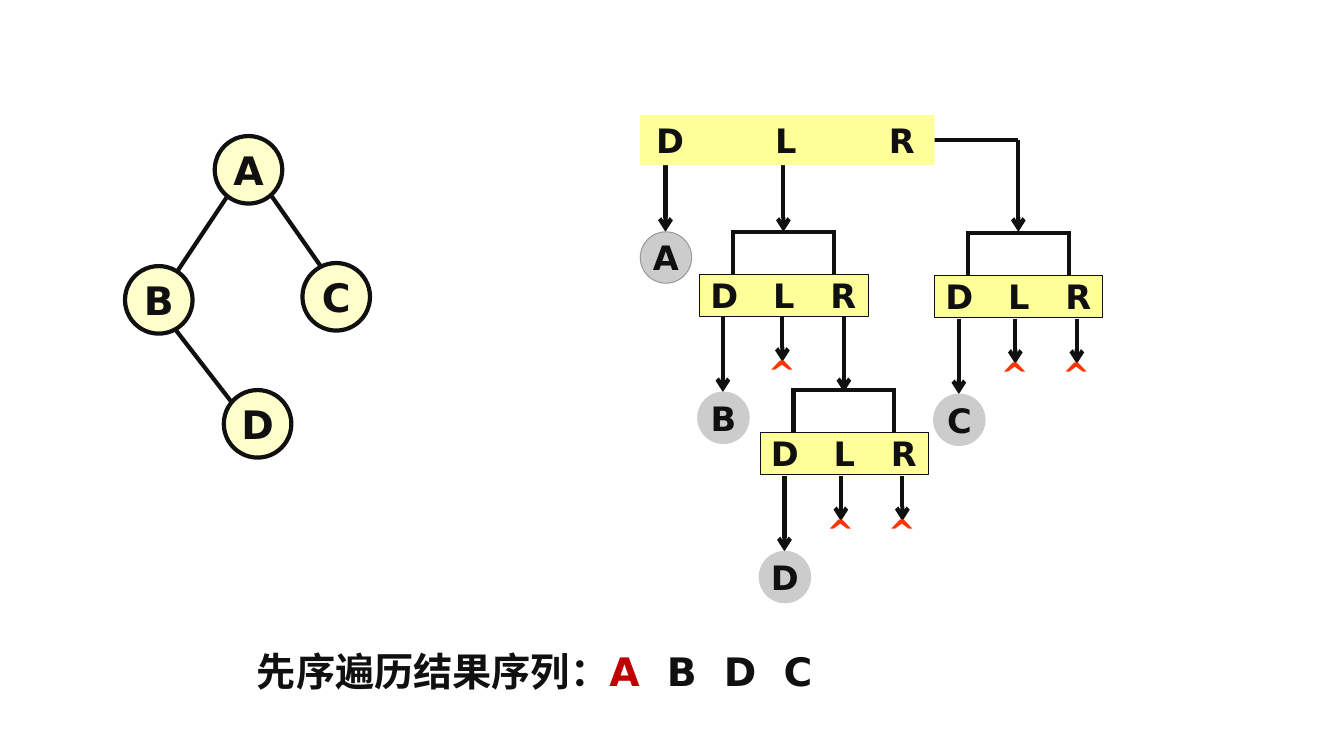
from lxml import etree
from pptx import Presentation
from pptx.dml.color import RGBColor
from pptx.enum.shapes import MSO_CONNECTOR, MSO_SHAPE
from pptx.enum.text import MSO_ANCHOR, PP_ALIGN
from pptx.oxml.ns import qn
from pptx.util import Pt

OVAL, RECTANGLE = MSO_SHAPE.OVAL, MSO_SHAPE.RECTANGLE
STRAIGHT = MSO_CONNECTOR.STRAIGHT
MIDDLE, TOP = MSO_ANCHOR.MIDDLE, MSO_ANCHOR.TOP
CENTER = PP_ALIGN.CENTER
PX = 9144  # 100 px to the inch
FONT = "DejaVu Sans"
COLORS = {
    name: RGBColor.from_string(code)
    for name, code in {
        "ink": "101010", "node": "FFFFCC", "call": "FFFF99", "visited": "CCCCCC",
        "edge": "999999", "null": "FF3300", "current": "C00000",
    }.items()
}

deck = Presentation()
deck.slide_width, deck.slide_height = 1333 * PX, 750 * PX
page = deck.slides.add_slide(deck.slide_layouts[6])


def add_line(x1, y1, x2, y2, arrow=False):
    line = page.shapes.add_connector(STRAIGHT, x1 * PX, y1 * PX, x2 * PX, y2 * PX)
    line.line.color.rgb = COLORS["ink"]
    line.line.width = Pt(3)
    if arrow:
        outline = line.line._get_or_add_ln()
        etree.SubElement(outline, qn("a:tailEnd"), type="arrow")
    etree.SubElement(line._element.spPr, qn("a:effectLst"))


def add_item(kind, left, top, width, height, text="", size=24, color="ink",
             fill=None, edge=None, edge_width=0.75):
    """Add a preset shape, or a text box when kind is None, with a centred label."""
    area = [value * PX for value in (left, top, width, height)]
    if kind is None:
        item = page.shapes.add_textbox(*area)
    else:
        item = page.shapes.add_shape(kind, *area)
        item.shadow.inherit = False
        item.fill.solid()
        item.fill.fore_color.rgb = COLORS[fill]
        if edge:
            item.line.color.rgb = COLORS[edge]
            item.line.width = Pt(edge_width)
        else:
            item.line.fill.background()
    frame = item.text_frame
    frame.margin_left = frame.margin_top = frame.margin_right = frame.margin_bottom = 0
    frame.word_wrap = False
    frame.vertical_anchor = MIDDLE
    para = frame.paragraphs[0]
    para.text = text
    para.alignment = CENTER
    for span in para.runs:
        span.font.name, span.font.size, span.font.bold = FONT, Pt(size), True
        span.font.color.rgb = COLORS[color]
    return item


# Binary tree
for branch in [(226, 194, 174, 272), (269, 194, 318, 264), (174, 327, 229, 398)]:
    add_line(*branch)
for letter, left, top in [("A", 213, 135), ("B", 124, 264), ("C", 300, 261), ("D", 222, 387)]:
    add_item(OVAL, left, top, 67, 67, letter, size=28, fill="node", edge="ink", edge_width=3)

# Recursive calls: each visit leads to a grey circle
for letter, center, top, edge in [
    ("A", 660, 155, "edge"), ("B", 717, 314, "visited"),
    ("C", 951, 316, "visited"), ("D", 778, 472, "visited"),
]:
    add_line(center, top, center, top + 75, arrow=True)
    add_item(OVAL, center - 25, top + 75, 51, 51, letter, fill="visited", edge=edge)

# Arrows from a call to the call of its subtree
add_line(777, 155, 777, 230, arrow=True)
add_line(837, 314, 837, 389, arrow=True)
add_line(919, 139, 1010, 139)
add_line(1010, 139, 1010, 230, arrow=True)

# Empty subtrees
for center, top in [(776, 314), (834, 472), (895, 472), (1007, 316), (1068, 316)]:
    add_line(center, top, center, top + 45, arrow=True)
    mark = add_item(None, center - 26, top + 31, 51, 51, "^", color="null")
    mark.text_frame.margin_top = 4 * PX
    mark.text_frame.vertical_anchor = TOP
    mark.text_frame.word_wrap = True

# Brackets above the nested calls
nested_calls = [(694, 272), (754, 429), (927, 273)]
for left, top in nested_calls:
    bar = top - 42
    add_line(left + 31, bar, left + 135, bar)
    for leg in (left + 33, left + 133):
        add_line(leg, bar, leg, top)

# Call boxes, the root call in front
calls = [(left, top, 167, 42, 1, 59, "ink") for left, top in nested_calls]
calls.append((635, 114, 292, 50, 6, 115, None))
for left, top, width, height, indent, pitch, edge in calls:
    add_item(RECTANGLE, left, top, width, height, fill="call", edge=edge)
    for column, letter in enumerate("DLR"):
        add_item(None, left + indent + column * pitch, top + (height - 40) // 2 , 47, 39, letter)

# Resulting sequence
result = page.shapes.add_textbox(245 * PX, 637 * PX, 717 * PX, 57 * PX)
result.text_frame.word_wrap = True
para = result.text_frame.paragraphs[0]
for text, color in [("先序遍历结果序列：", "ink"), ("A", "current"), ("  B  D  C", "ink")]:
    span = para.add_run()
    span.text = text
    span.font.name, span.font.size, span.font.bold = FONT, Pt(28), True
    span.font.color.rgb = COLORS[color]

deck.save("out.pptx")
